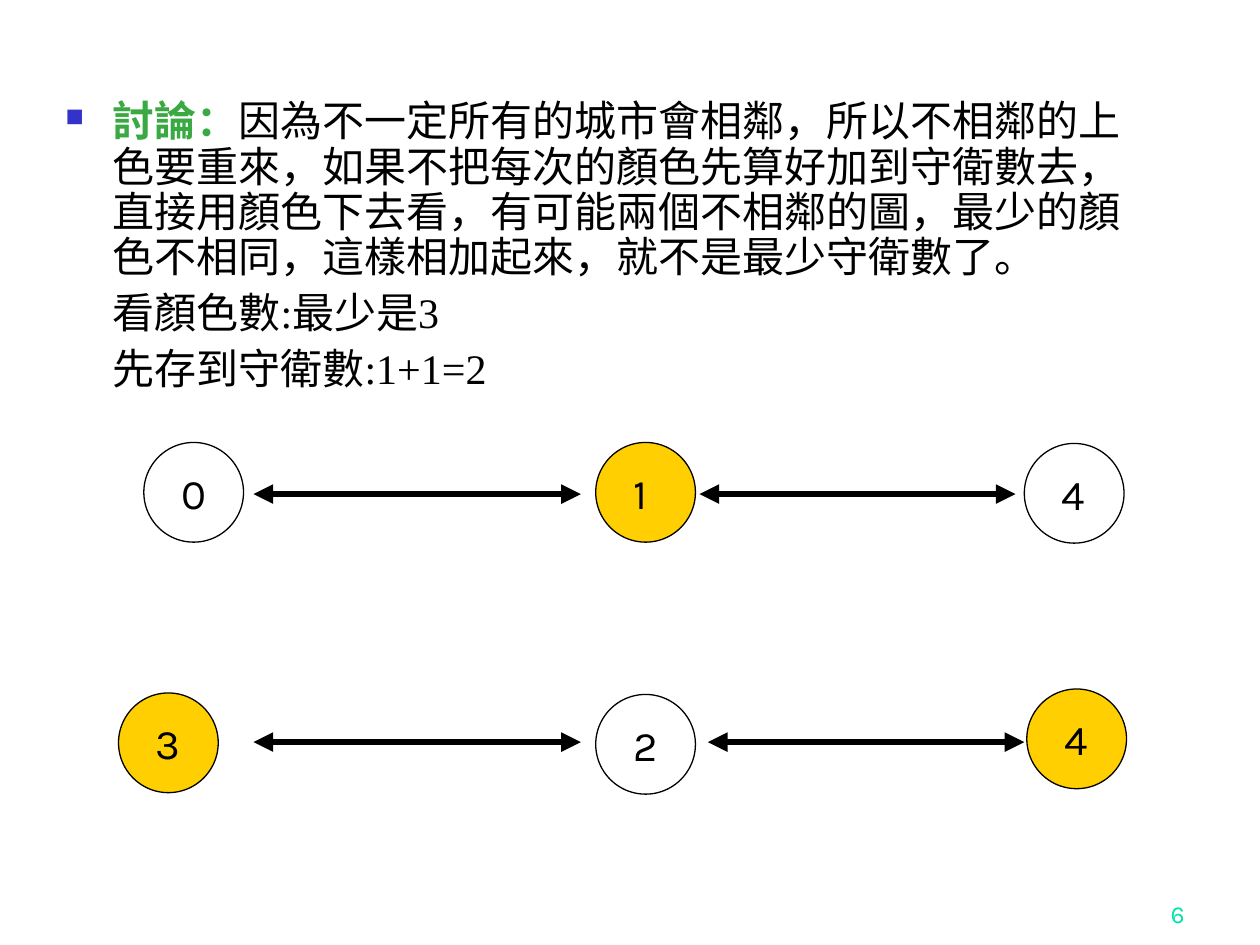
from dataclasses import dataclass

from lxml.etree import SubElement
from pptx import Presentation
from pptx.dml.color import RGBColor
from pptx.enum.shapes import MSO_CONNECTOR as Connector, MSO_SHAPE as Shape
from pptx.enum.text import MSO_ANCHOR as Anchor, PP_ALIGN as Align
from pptx.oxml.ns import qn
from pptx.util import Cm, Pt

COLORS = {
    "black": "000000",
    "white": "FFFFFF",
    "gold": "FFCF01",
    "green": "3BA943",
    "blue": "3333CC",
    "mint": "00E4A8",
}
SANS, SERIF = "Karla", "Times New Roman"
DIAMETER = 2.01
BODY_INDENT = Cm(0.95)


@dataclass(frozen=True)
class City:
    label: str
    left: float
    top: float
    fill: str


@dataclass(frozen=True)
class Road:
    right: float
    left: float
    y: float


CITIES = [
    City("0", 2.9, 8.92, "white"),
    City("2", 12.01, 14, "white"),
    City("1", 12.01, 8.92, "gold"),
    City("3", 2.39, 13.97, "gold"),
    City("4", 20.65, 8.94, "white"),
    City("4", 20.7, 13.89, "gold"),
]
ROADS = [
    Road(11.71, 5.11, 9.96),
    Road(11.71, 5.11, 14.96),
    Road(20.47, 14.1, 9.96),
    Road(20.65, 14.27, 14.96),
]


def color(name: str) -> RGBColor:
    return RGBColor.from_string(COLORS[name])


def add_span(para, text: str, font: str, size: float = 24,
             tint: str = "black", bold: bool = False) -> None:
    span = para.add_run()
    span.text = text
    span.font.name = font
    span.font.size = Pt(size)
    span.font.bold = bold
    span.font.color.rgb = color(tint)


def add_bullet(para) -> None:
    """Hang a small blue square in front of the paragraph."""
    properties = para._p.get_or_add_pPr()
    properties.set("indent", str(-BODY_INDENT))
    tint = SubElement(properties, qn("a:buClr"))
    SubElement(tint, qn("a:srgbClr"), val=COLORS["blue"])
    SubElement(properties, qn("a:buSzPct"), val="60000")
    SubElement(properties, qn("a:buChar"), char="■")


def add_body_para(frame, first: bool = False):
    para = frame.paragraphs[0] if first else frame.add_paragraph()
    para._p.get_or_add_pPr().set("marL", str(BODY_INDENT))
    para.line_spacing = 0.9
    if first:
        add_bullet(para)
    else:
        para.space_before = Pt(6)
    return para


def add_city(page, city: City) -> None:
    circle = page.shapes.add_shape(Shape.OVAL, Cm(city.left), Cm(city.top),
                                   Cm(DIAMETER), Cm(DIAMETER))
    circle.shadow.inherit = False
    circle.fill.solid()
    circle.fill.fore_color.rgb = color(city.fill)
    circle.line.color.rgb = color("black")
    circle.line.width = Pt(0.75)
    frame = circle.text_frame
    frame.word_wrap = False
    frame.vertical_anchor = Anchor.MIDDLE
    frame.margin_left = Cm(0.46)
    para = frame.paragraphs[0]
    para.alignment = Align.LEFT
    add_span(para, city.label, SANS)


def add_road(page, road: Road) -> None:
    line = page.shapes.add_connector(Connector.STRAIGHT, Cm(road.right), Cm(road.y),
                                     Cm(road.left), Cm(road.y))
    line.line.color.rgb = color("black")
    line.line.width = Pt(3.75)
    outline = line.line._get_or_add_ln()
    for end in ("a:headEnd", "a:tailEnd"):
        SubElement(outline, qn(end), type="triangle")
    SubElement(line._element.spPr, qn("a:effectLst"))


def main() -> None:
    deck = Presentation()
    deck.slide_width, deck.slide_height = Cm(25.4), Cm(19.05)
    page = deck.slides.add_slide(deck.slide_layouts[6])

    # Page number
    box = page.shapes.add_textbox(Cm(18.85), Cm(17.58), Cm(5.28), Cm(1.27))
    box.text_frame.word_wrap = True
    box.text_frame.vertical_anchor = Anchor.BOTTOM
    para = box.text_frame.paragraphs[0]
    para.alignment = Align.RIGHT
    add_span(para, "6", SANS, 14, "mint")

    # Discussion
    box = page.shapes.add_textbox(Cm(1.07), Cm(1.9), Cm(22.43), Cm(15.62))
    frame = box.text_frame
    frame.word_wrap = True
    para = add_body_para(frame, first=True)
    add_span(para, "討論：", SERIF, tint="green", bold=True)
    add_span(para, "因為不一定所有的城市會相鄰，所以不相鄰的上色要重來，"
                   "如果不把每次的顏色先算好加到守衛數去，直接用顏色下去看，"
                   "有可能兩個不相鄰的圖，最少的顏色不相同，這樣相加起來，"
                   "就不是最少守衛數了。", SANS)
    for text in ("看顏色數:最少是3", "先存到守衛數:1+1=2"):
        add_span(add_body_para(frame), text, SERIF)

    # City graph
    for city in CITIES:
        add_city(page, city)
    for road in ROADS:
        add_road(page, road)

    deck.save("out.pptx")


if __name__ == "__main__":
    main()
